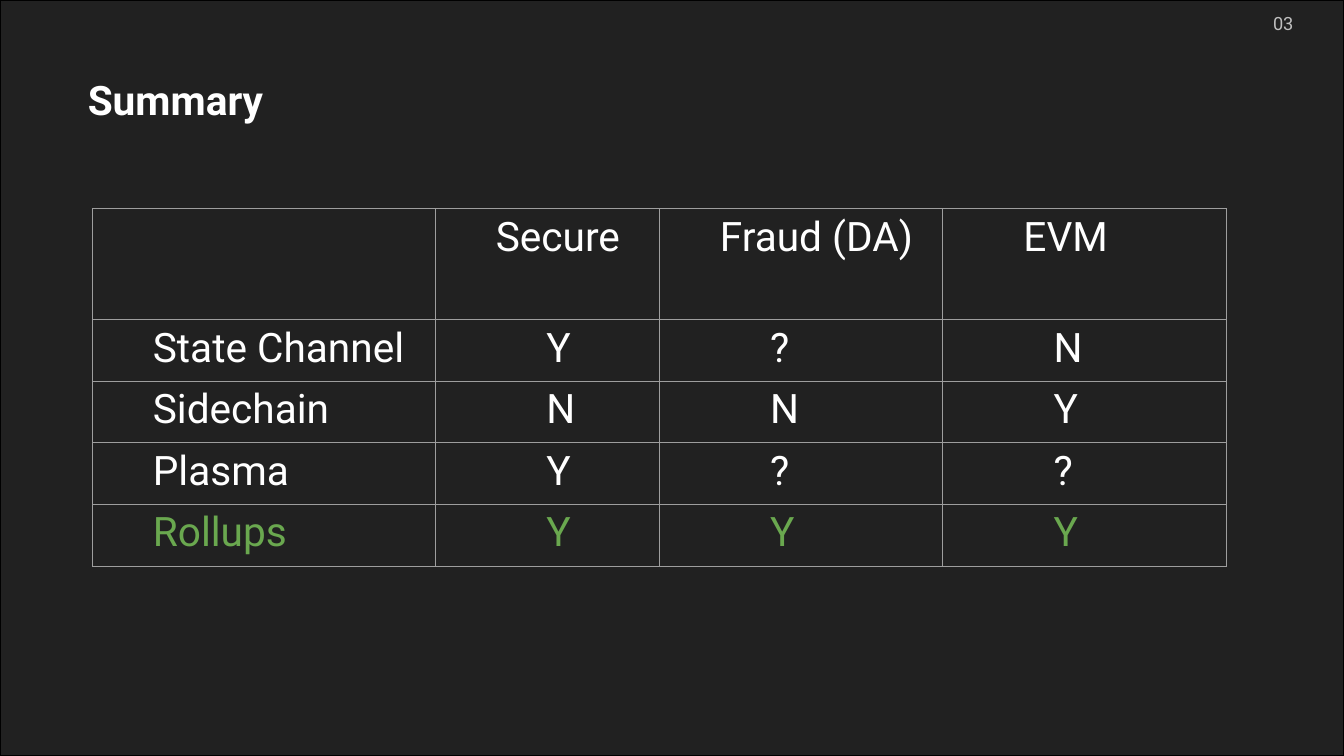
from lxml import etree
from pptx import Presentation
from pptx.dml.color import RGBColor
from pptx.enum.shapes import MSO_SHAPE
from pptx.enum.text import MSO_ANCHOR, MSO_AUTO_SIZE, PP_ALIGN
from pptx.oxml.ns import qn
from pptx.util import Pt

RECTANGLE = MSO_SHAPE.RECTANGLE
TOP, BOTTOM = MSO_ANCHOR.TOP, MSO_ANCHOR.BOTTOM
LEFT, RIGHT = PP_ALIGN.LEFT, PP_ALIGN.RIGHT
NO_AUTOFIT = MSO_AUTO_SIZE.NONE

FONT = "Roboto"
COLORS = {
    "ground": "212121",
    "edge": "000000",
    "text": "FFFFFF",
    "number": "BFBFBF",
    "grid": "9E9E9E",
    "winner": "6AA84F",
}
SLIDE_W, SLIDE_H = 960, 540
BODY_SIZE = 29
INSET = 7.2
LABEL_INDENT, EVM_INDENT, MARK_INDENT = 36, 50.4, 72

COLUMN_WIDTHS = [245, 160, 202.5, 202.5]
HEADER_HEIGHT, ROW_HEIGHT = 79.2, 43.9
COMPARISON = [
    ["", "Secure", "Fraud (DA)", "EVM"],
    ["State Channel", "Y", "?", "N"],
    ["Sidechain", "N", "N", "Y"],
    ["Plasma", "Y", "?", "?"],
    ["Rollups", "Y", "Y", "Y"],
]


def rgb(name):
    return RGBColor.from_string(COLORS[name])


def write(frame, text, size, color, indent=0, align=LEFT, bold=False):
    paragraph = frame.paragraphs[0]
    paragraph.alignment = align
    paragraph.line_spacing = 0.85
    properties = paragraph._p.get_or_add_pPr()
    properties.set("marL", str(Pt(indent)))
    properties.set("indent", "0")
    run = paragraph.add_run()
    run.text = text
    run.font.name = FONT
    run.font.size = Pt(size)
    run.font.bold = bold
    run.font.color.rgb = rgb(color)


def set_insets(holder, horizontal, vertical):
    holder.margin_left = holder.margin_right = Pt(horizontal)
    holder.margin_top = holder.margin_bottom = Pt(vertical)


def add_ground(slide, x, y, w, h):
    ground = slide.shapes.add_shape(RECTANGLE, Pt(x), Pt(y), Pt(w), Pt(h))
    ground.shadow.inherit = False
    ground.fill.solid()
    ground.fill.fore_color.rgb = rgb("ground")
    ground.line.color.rgb = rgb("edge")
    ground.line.width = Pt(1)
    # Send behind the title
    slide.shapes._spTree.insert(2, ground._element)


def add_page_number(slide, x, y, w, h):
    number = slide.shapes.add_textbox(Pt(x), Pt(y), Pt(w), Pt(h)).text_frame
    number.word_wrap = True
    number.vertical_anchor = BOTTOM
    set_insets(number, INSET, 3.6)
    write(number, "03", 13, "number", align=RIGHT)


def place_title(slide, x, y, w, h):
    title = slide.shapes.title
    title.left, title.top, title.width, title.height = Pt(x), Pt(y), Pt(w), Pt(h)
    frame = title.text_frame
    frame.word_wrap = True
    frame.auto_size = NO_AUTOFIT
    frame.vertical_anchor = TOP
    set_insets(frame, INSET, INSET)
    write(frame, "Summary", BODY_SIZE, "text", LABEL_INDENT, bold=True)


def outline_cell(cell):
    properties = cell._tc.get_or_add_tcPr()
    for side in ("lnL", "lnR", "lnT", "lnB"):
        line = etree.SubElement(properties, qn(f"a:{side}"), w=str(Pt(0.75)))
        fill = etree.SubElement(line, qn("a:solidFill"))
        etree.SubElement(fill, qn("a:srgbClr"), val=COLORS["grid"])


def cell_indent(row, column):
    if row == 0:
        return EVM_INDENT if column == 3 else LABEL_INDENT
    return MARK_INDENT if column else LABEL_INDENT


def add_comparison(slide, x, y):
    heights = [HEADER_HEIGHT] + [ROW_HEIGHT] * (len(COMPARISON) - 1)
    table = slide.shapes.add_table(
        len(heights), len(COLUMN_WIDTHS),
        Pt(x), Pt(y), Pt(sum(COLUMN_WIDTHS)), Pt(sum(heights))).table
    table.first_row = table.horz_banding = False
    for column, width in zip(table.columns, COLUMN_WIDTHS):
        column.width = Pt(width)
    for row, height in zip(table.rows, heights):
        row.height = Pt(height)

    for r, entries in enumerate(COMPARISON):
        color = "winner" if entries[0] == "Rollups" else "text"
        for c, entry in enumerate(entries):
            cell = table.cell(r, c)
            outline_cell(cell)
            cell.fill.background()
            set_insets(cell, INSET, INSET)
            if entry:
                write(cell.text_frame, entry, BODY_SIZE, color, cell_indent(r, c))


def main():
    deck = Presentation()
    deck.slide_width, deck.slide_height = Pt(SLIDE_W), Pt(SLIDE_H)
    slide = deck.slides.add_slide(deck.slide_layouts[5])
    add_ground(slide, 0, 0, SLIDE_W, SLIDE_H)
    add_page_number(slide, 900, 6.5, 31, 21.6)
    place_title(slide, 19.5, 52, 560, 74)
    add_comparison(slide, 66, 149)
    deck.save("out.pptx")


if __name__ == "__main__":
    main()
